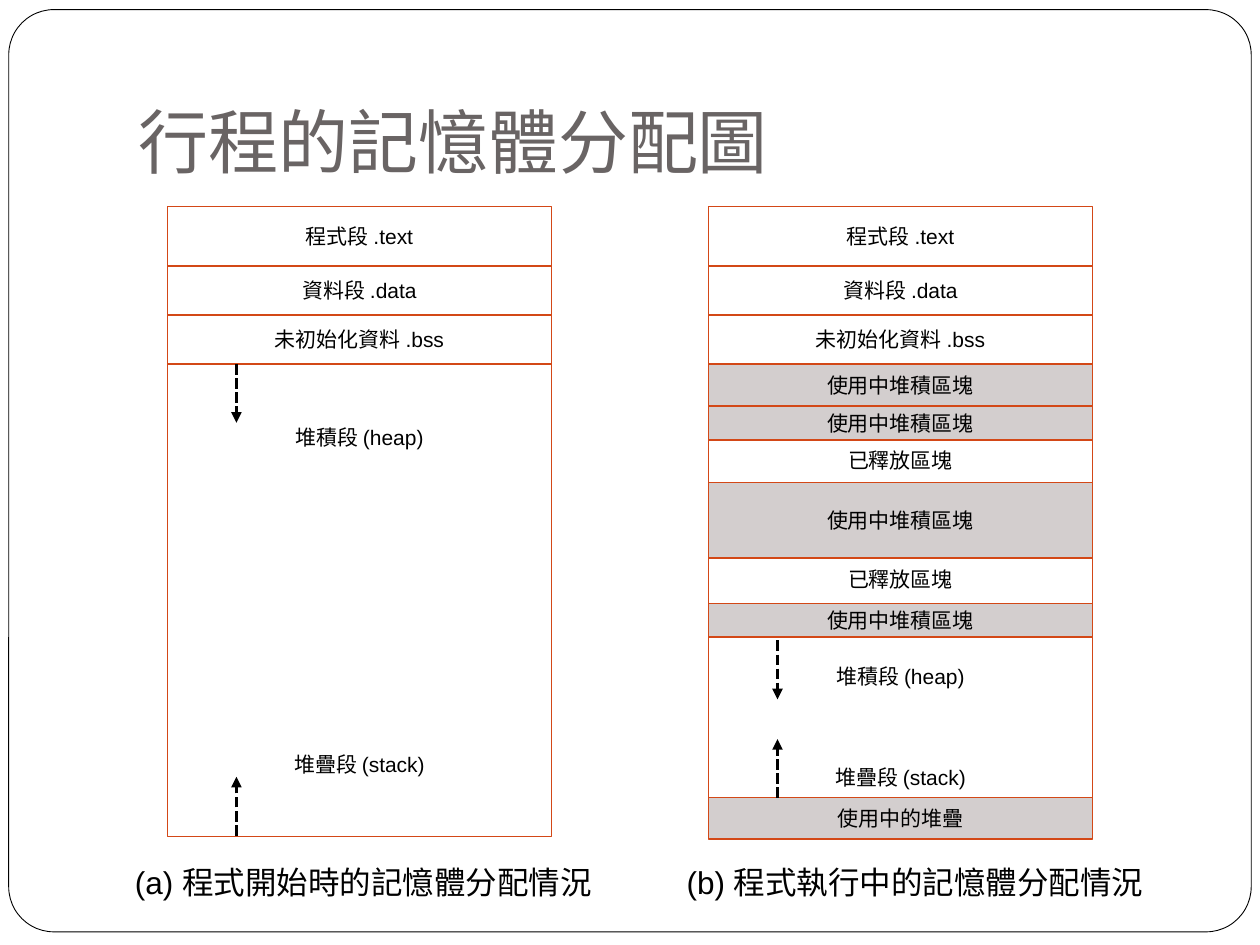
from dataclasses import dataclass

from lxml import etree
from pptx import Presentation
from pptx.dml.color import RGBColor
from pptx.enum import dml, shapes, text
from pptx.oxml.ns import qn
from pptx.util import Pt


@dataclass(frozen=True)
class Theme:
    white: RGBColor = RGBColor(0xFF, 0xFF, 0xFF)
    black: RGBColor = RGBColor(0, 0, 0)
    title: RGBColor = RGBColor(0x69, 0x64, 0x64)
    border: RGBColor = RGBColor(0xD3, 0x48, 0x17)
    used: RGBColor = RGBColor(0xD3, 0xCE, 0xCE)
    title_font: str = "Lato"
    body_font: str = "Arial"
    title_size: float = 40
    caption_size: float = 18
    label_size: float = 12


THEME = Theme()

# Lengths are points. Segments: (label, top, height)
TITLE = "行程的記憶體分配圖"
FIXED_SEGMENTS = [
    ("程式段 .text", 118, 34),
    ("資料段 .data", 152, 28),
    ("未初始化資料 .bss", 180, 28),
]
FREED, IN_USE = "已釋放區塊", "使用中堆積區塊"
FREED_BLOCKS = [(FREED, 249, 28), (FREED, 317, 28)]
USED_BLOCKS = [
    (IN_USE, 208, 24),
    (IN_USE, 232.5, 19),
    (IN_USE, 275.8, 43),
    (IN_USE, 345, 19),
    ("使用中的堆疊", 455.8, 23.6),
]
FREE_LABELS = ["堆積段 (heap)", "堆疊段 (stack)"]
MAPS = [
    dict(caption="(a) 程式開始時的記憶體分配情況", caption_left=70, left=95.6,
         freed=[], used=[], label_gap=172.4, label_shift=0,
         heap_start=208, stack_start=477.5),
    dict(caption="(b) 程式執行中的記憶體分配情況", caption_left=385.3, left=404.8,
         freed=FREED_BLOCKS, used=USED_BLOCKS, label_gap=43.3, label_shift=144.5,
         heap_start=366, stack_start=456),
]
MAP_WIDTH = 219.6
FREE_TOP, FREE_HEIGHT = 208, 270
HEAP_TOP, HEAP_HEIGHT = 209.5, 152
ARROW_OFFSET, ARROW_LENGTH = 39.5, 33.6
CAPTION_TOP, CAPTION_WIDTH, CAPTION_HEIGHT = 489.6, 290, 28.8
INSET = 3.6


def style_text(paragraph, size, color=THEME.black, font=THEME.body_font):
    for run in paragraph.runs:
        run.font.size = Pt(size)
        run.font.name = font
        run.font.color.rgb = color


def add_box(slide, left, top, height, labels=(), fill=None):
    box = slide.shapes.add_shape(shapes.MSO_SHAPE.RECTANGLE, Pt(left), Pt(top),
                                 Pt(MAP_WIDTH), Pt(height))
    box.shadow.inherit = False
    if fill is None:
        box.fill.background()
    else:
        box.fill.solid()
        box.fill.fore_color.rgb = fill
    box.line.color.rgb = THEME.border
    box.line.width = Pt(0.75)
    frame = box.text_frame
    frame.word_wrap = False
    frame.vertical_anchor = text.MSO_ANCHOR.MIDDLE
    frame.text = "\n".join(labels)
    for paragraph in frame.paragraphs:
        paragraph.alignment = text.PP_ALIGN.CENTER
        style_text(paragraph, THEME.label_size)
    return box


def add_growth_arrow(slide, x, start, end):
    arrow = slide.shapes.add_connector(shapes.MSO_CONNECTOR.STRAIGHT,
                                       Pt(x), Pt(start), Pt(x), Pt(end))
    arrow.line.color.rgb = THEME.black
    arrow.line.width = Pt(2)
    arrow.line.dash_style = dml.MSO_LINE.SQUARE_DOT
    properties = arrow.element.spPr
    line = properties.find(qn("a:ln"))
    etree.SubElement(line, qn("a:tailEnd"), type="triangle")
    etree.SubElement(properties, qn("a:effectLst"))


def add_frame(slide):
    """Draw the rounded page border behind everything else."""
    frame = slide.shapes.add_shape(shapes.MSO_SHAPE.ROUNDED_RECTANGLE,
                                   Pt(5), Pt(5.5), Pt(710), Pt(527))
    frame.adjustments[0] = 0.049
    frame.shadow.inherit = False
    frame.fill.solid()
    frame.fill.fore_color.rgb = THEME.white
    frame.line.color.rgb = THEME.black
    frame.line.width = Pt(0.5)
    slide.shapes.element.insert(2, frame.element)


def add_title(slide):
    title = slide.shapes.title
    title.left, title.top, title.width, title.height = Pt(72), Pt(21.6), Pt(612), Pt(90)
    frame = title.text_frame
    frame.text = TITLE
    frame.auto_size = text.MSO_AUTO_SIZE.NONE
    frame.vertical_anchor = text.MSO_ANCHOR.BOTTOM
    frame.margin_bottom = Pt(7.2)
    paragraph = frame.paragraphs[0]
    paragraph.alignment = text.PP_ALIGN.LEFT
    style_text(paragraph, THEME.title_size, THEME.title, THEME.title_font)


def add_caption(slide, caption, left):
    box = slide.shapes.add_textbox(Pt(left), Pt(CAPTION_TOP),
                                   Pt(CAPTION_WIDTH), Pt(CAPTION_HEIGHT))
    frame = box.text_frame
    frame.word_wrap = True
    frame.text = caption
    style_text(frame.paragraphs[0], THEME.caption_size)


def add_memory_map(slide, memory):
    left = memory["left"]
    free_space = add_box(slide, left, FREE_TOP, FREE_HEIGHT, FREE_LABELS)
    free_space.text_frame.margin_top = Pt(INSET + memory["label_shift"])
    free_space.text_frame.paragraphs[1].space_before = Pt(memory["label_gap"])
    if memory["used"]:
        add_box(slide, left, HEAP_TOP, HEAP_HEIGHT)

    for label, top, height in FIXED_SEGMENTS + memory["freed"]:
        add_box(slide, left, top, height, [label])
    for label, top, height in memory["used"]:
        add_box(slide, left, top, height, [label], THEME.used)

    x = left + ARROW_OFFSET
    heap, stack = memory["heap_start"], memory["stack_start"]
    add_growth_arrow(slide, x, heap, heap + ARROW_LENGTH)
    add_growth_arrow(slide, x, stack, stack - ARROW_LENGTH)
    add_caption(slide, memory["caption"], memory["caption_left"])


def main():
    presentation = Presentation()
    presentation.slide_width, presentation.slide_height = Pt(720), Pt(540)
    slide = presentation.slides.add_slide(presentation.slide_layouts[5])
    add_frame(slide)
    add_title(slide)
    for memory in MAPS:
        add_memory_map(slide, memory)
    presentation.save("out.pptx")


if __name__ == "__main__":
    main()
